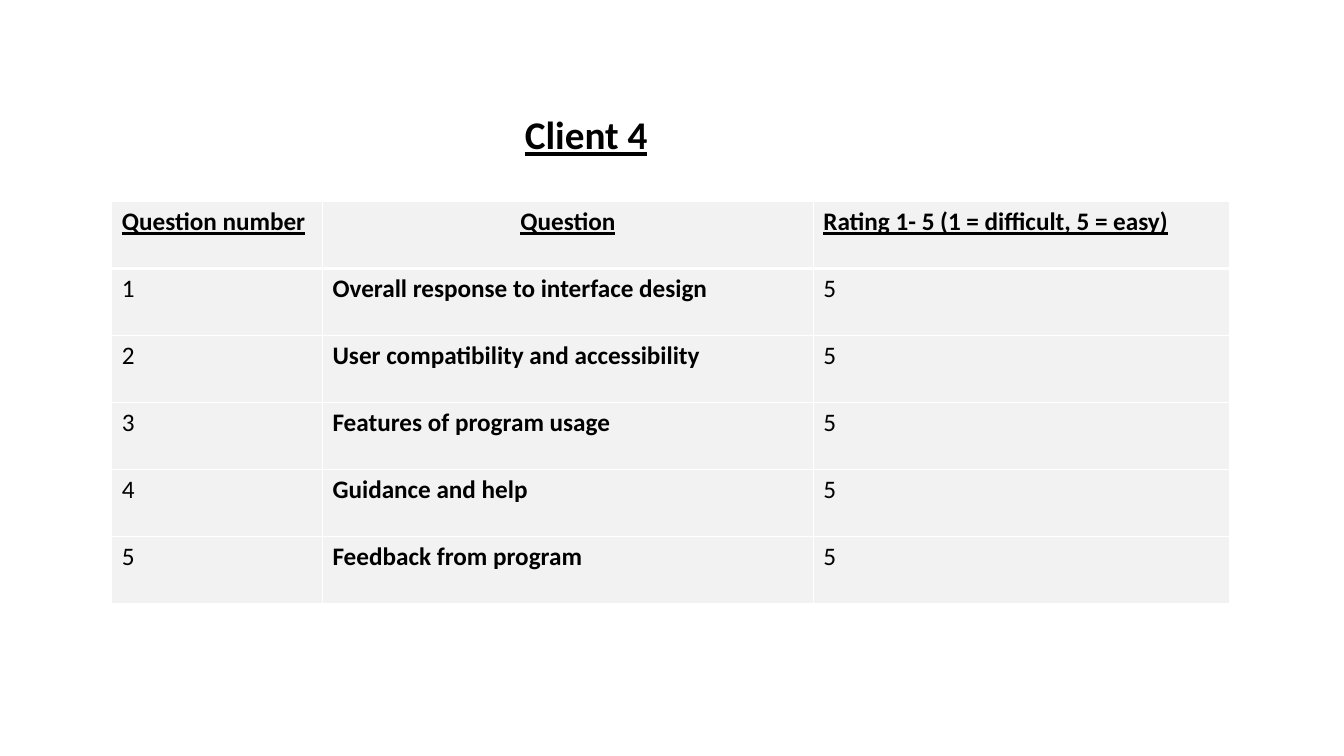
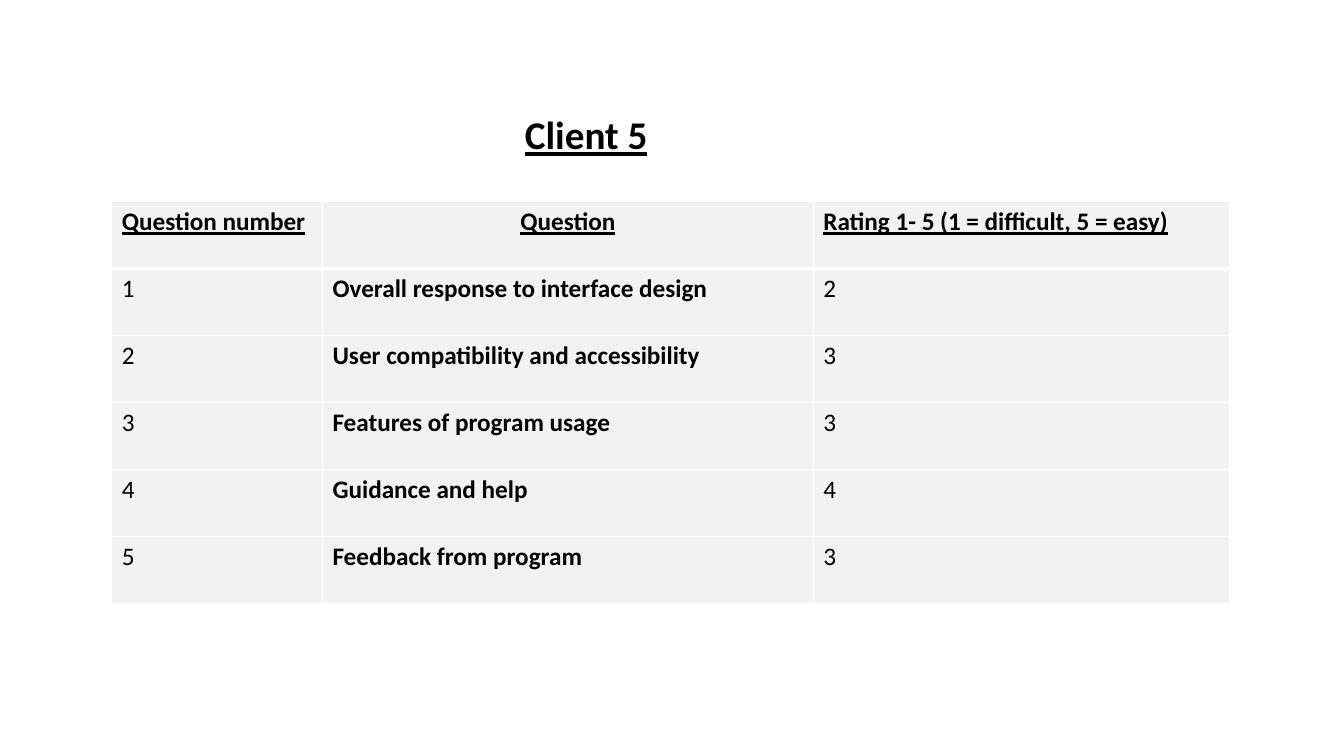
"""Build the client rating slides, one questionnaire table per client."""
from dataclasses import dataclass

from lxml import etree
from pptx import Presentation
from pptx import util as u
from pptx.dml.color import RGBColor
from pptx.enum import text
from pptx.oxml import ns


@dataclass(frozen=True)
class Theme:
    font: str = "Calibri"
    ink: str = "000000"
    cell: str = "F2F2F2"
    rule: str = "FFFFFF"
    title_size: int = 28
    body_size: int = 18
    thin: int = 1
    thick: int = 3


T = Theme()
PX = u.Inches(1) // 200
COLS = [418, 974, 826]
ROW_H = 133
HEADER = ["Question number", "Question", "Rating 1- 5 (1 = difficult, 5 = easy)"]
QUESTIONS = [
    "Overall response to interface design",
    "User compatibility and accessibility",
    "Features of program usage",
    "Guidance and help",
    "Feedback from program",
]
CLIENTS = {
    "Client 4": [5, 5, 5, 5, 5],
    "Client 5": [2, 3, 3, 4, 3],
}


def write(tf, words, size, bold, underline):
    tf.text = words
    r = tf.paragraphs[0].runs[0]
    r.font.name = T.font
    r.font.size = u.Pt(size)
    r.font.bold = bold
    r.font.underline = underline
    r.font.color.rgb = RGBColor.from_string(T.ink)


def border(cell, side, width):
    tcPr = cell._tc.get_or_add_tcPr()
    ln = etree.SubElement(tcPr, ns.qn(f"a:{side}"), w=str(u.Pt(width)))
    fill = etree.SubElement(ln, ns.qn("a:solidFill"))
    etree.SubElement(fill, ns.qn("a:srgbClr"), val=T.rule)


prs = Presentation()
prs.slide_width, prs.slide_height = 2667 * PX, 1500 * PX

for client, ratings in CLIENTS.items():
    s = prs.slides.add_slide(prs.slide_layouts[6])

    rows = [HEADER]
    for number, (question, rating) in enumerate(zip(QUESTIONS, ratings), 1):
        rows.append([str(number), question, str(rating)])

    frame = s.shapes.add_table(
        len(rows), len(COLS), 222 * PX, 400 * PX, sum(COLS) * PX, len(rows) * ROW_H * PX
    )
    table = frame.table
    table.horz_banding = False
    for column, width in zip(table.columns, COLS):
        column.width = width * PX

    for i, row in enumerate(rows):
        table.rows[i].height = ROW_H * PX
        header = i == 0
        for j, words in enumerate(row):
            cell = table.cell(i, j)
            write(cell.text_frame, words, T.body_size, header or j == 1, header)
            if header and j == 1:
                cell.text_frame.paragraphs[0].alignment = text.PP_ALIGN.CENTER
            border(cell, "lnL", T.thin)
            border(cell, "lnR", T.thin)
            border(cell, "lnT", T.thick if i == 1 else T.thin)
            border(cell, "lnB", T.thick if header else T.thin)
            cell.fill.solid()
            cell.fill.fore_color.rgb = RGBColor.from_string(T.cell)

    sp = s.shapes.add_textbox(1022 * PX, 210 * PX, 428 * PX, 114 * PX)
    tf = sp.text_frame
    tf.word_wrap = True
    tf.auto_size = text.MSO_AUTO_SIZE.SHAPE_TO_FIT_TEXT
    write(tf, client, T.title_size, True, True)

prs.save("out.pptx")
